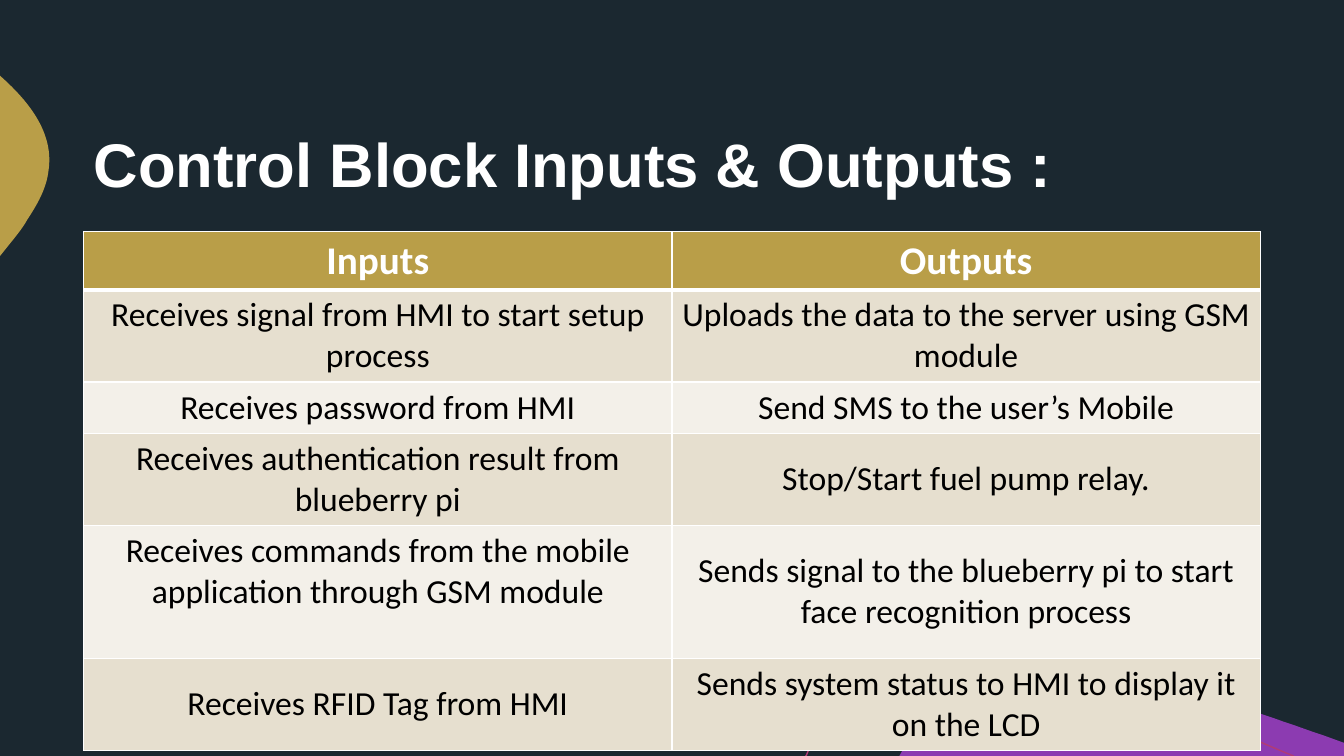
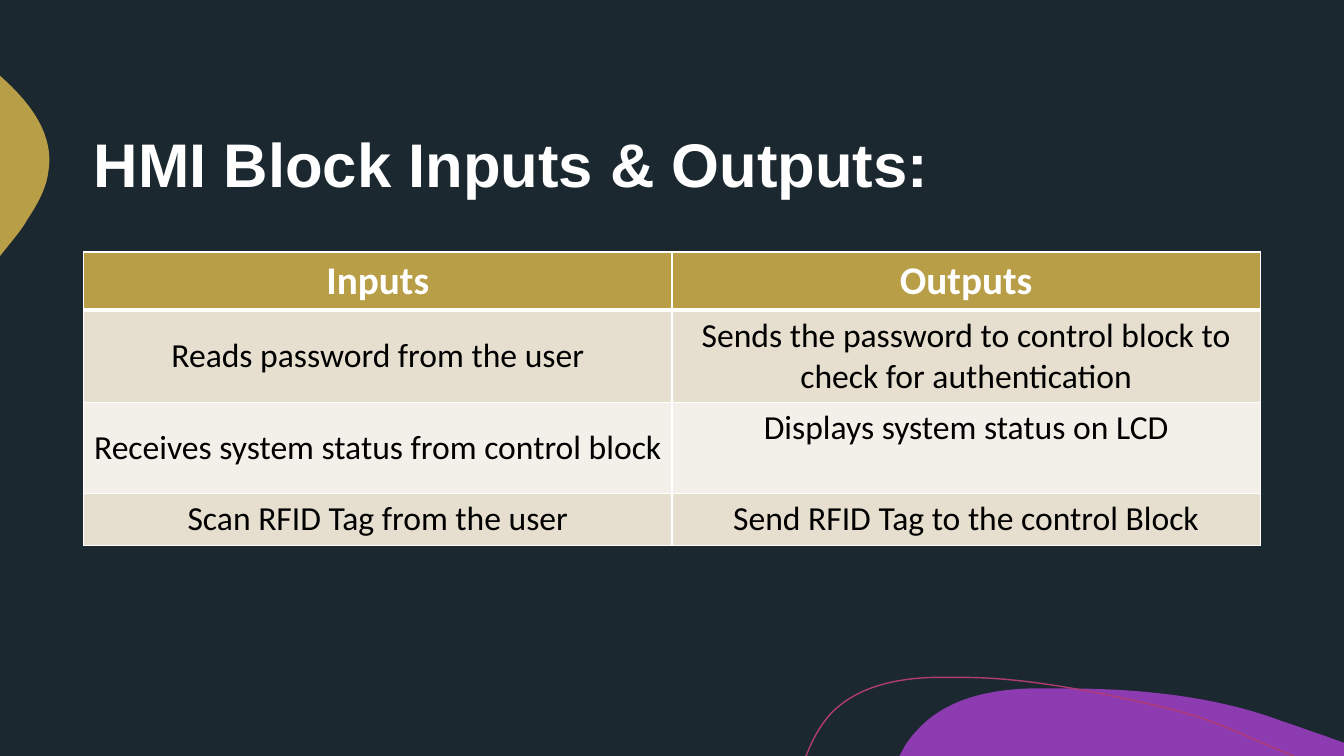
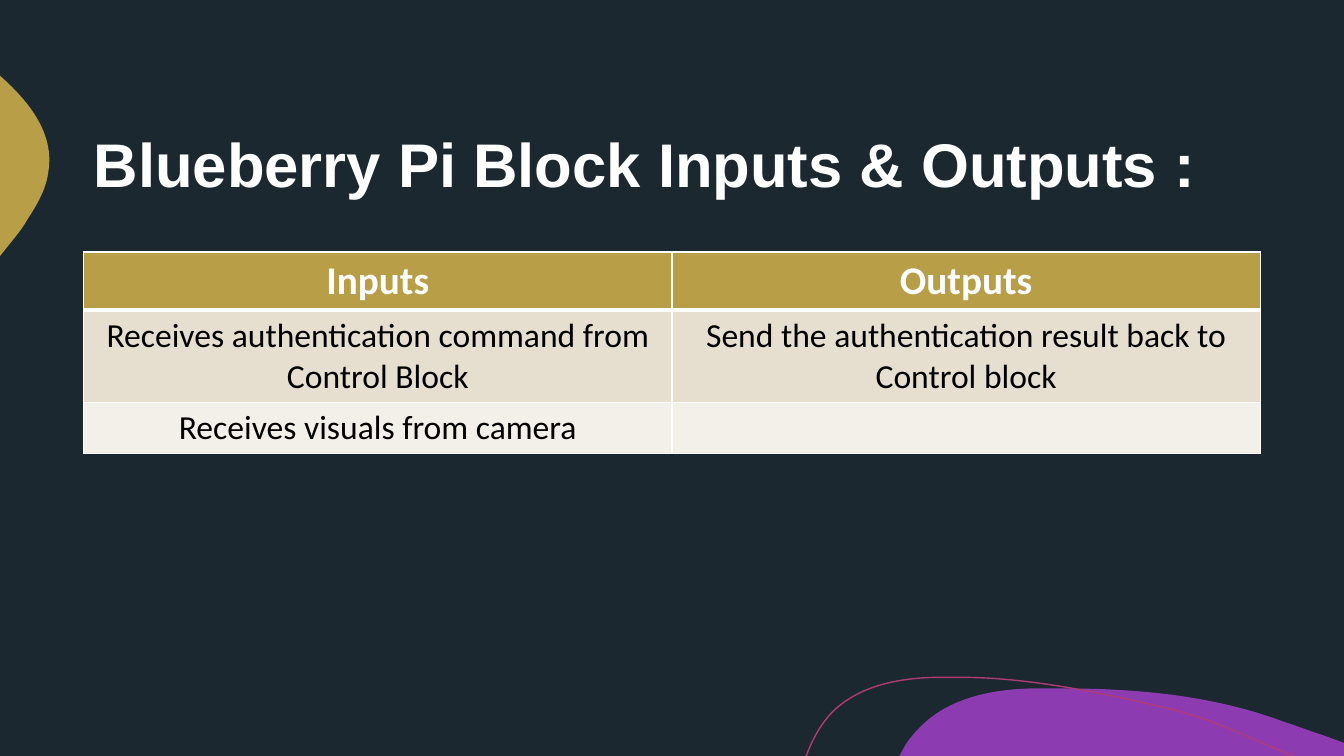
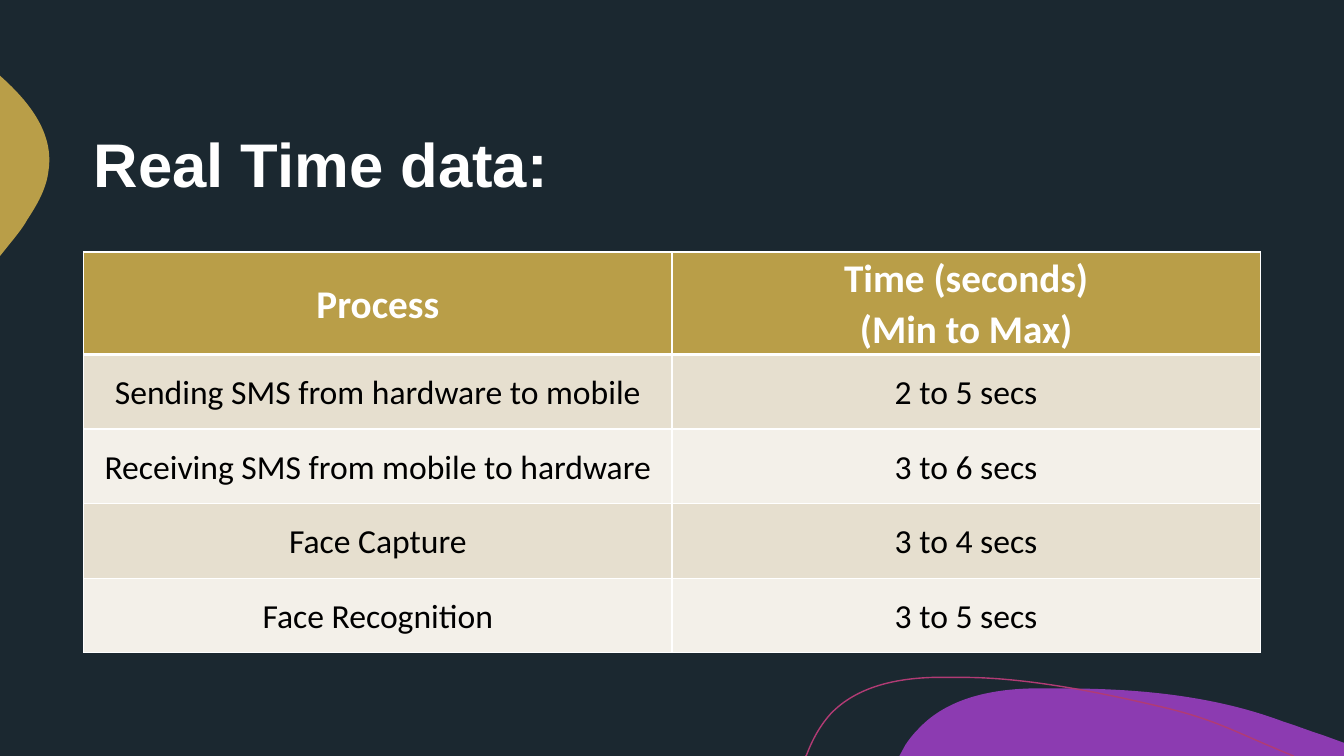
from pptx import Presentation
from pptx.dml.color import RGBColor
from pptx.enum.text import MSO_ANCHOR, PP_ALIGN
from pptx.oxml import parse_xml
from pptx.oxml.ns import nsdecls, qn
from pptx.util import Inches, Pt

MIDDLE, TOP = MSO_ANCHOR.MIDDLE, MSO_ANCHOR.TOP
LEFT, CENTER = PP_ALIGN.LEFT, PP_ALIGN.CENTER

NAVY = RGBColor(0x1B, 0x28, 0x30)
GOLD = RGBColor(0xB9, 0x9E, 0x48)
PURPLE = RGBColor(0x8C, 0x3B, 0xB1)
PINK = RGBColor(0xB1, 0x3B, 0x74)
SAND = RGBColor(0xE6, 0xDF, 0xCF)
CREAM = RGBColor(0xF3, 0xF0, 0xE9)
WHITE = RGBColor(0xFF, 0xFF, 0xFF)
BLACK = RGBColor(0x00, 0x00, 0x00)

TITLE_FONT, TABLE_FONT = "Arial", "Calibri"
TITLE_ONLY = 5
MARGIN, CONTENT_WIDTH = 0.83, 11.67
HEADER, ONE_LINE, TWO_LINES, THREE_LINES = 0.57, 0.51, 0.91, 1.32
FIRST_DECORATION_ID = 101

PURPLE_WAVE = [
    (10.54, 6.83),
    (11.28, 6.83, 12.04, 6.9, 12.73, 7.16),
    (12.86, 7.2, 12.98, 7.25, 13.11, 7.29),
    (13.33, 7.37), (13.33, 7.5), (8.92, 7.5), (8.98, 7.39),
    (9.02, 7.33, 9.06, 7.28, 9.11, 7.23),
    (9.39, 6.93, 9.82, 6.84, 10.23, 6.83),
    (10.33, 6.83, 10.43, 6.83, 10.54, 6.83),
]
GOLD_BULGE = [
    (0, 0.75), (0.01, 0.76),
    (0.3, 1.02, 0.54, 1.33, 0.48, 1.7),
    (0.46, 1.87, 0.37, 2.03, 0.27, 2.18),
    (0.24, 2.24, 0.17, 2.33, 0.08, 2.44),
    (0, 2.54),
]
PINK_LINE = [
    (7.99, 7.5), (8, 7.49),
    (8.06, 7.33, 8.14, 7.19, 8.24, 7.08),
    (8.5, 6.81, 8.89, 6.73, 9.26, 6.72),
    (9.55, 6.72),
    (10.22, 6.72, 11, 6.89, 11.55, 7.02),
    (12.09, 7.15, 12.26, 7.27, 12.83, 7.5),
]


def bend_segments(shape, segments):
    straight = list(shape.element.iter(qn("a:lnTo")))
    for line, segment in zip(straight, segments[1:]):
        if len(segment) == 2:
            continue
        points = "".join(
            f'<a:pt x="{Inches(x) - shape.left}" y="{Inches(y) - shape.top}"/>'
            for x, y in zip(segment[::2], segment[1::2])
        )
        curve = parse_xml(f'<a:cubicBezTo {nsdecls("a")}>{points}</a:cubicBezTo>')
        line.getparent().replace(line, curve)


def add_outline(page, segments, fill=None, line=None):
    points = [(Inches(segment[-2]), Inches(segment[-1])) for segment in segments]
    builder = page.shapes.build_freeform(*points[0], scale=1.0)
    builder.add_line_segments(points[1:], close=fill is not None)
    shape = builder.convert_to_shape()
    bend_segments(shape, segments)
    shape.shadow.inherit = False
    if fill is None:
        shape.fill.background()
    else:
        shape.fill.solid()
        shape.fill.fore_color.rgb = fill
    if line is None:
        shape.line.fill.background()
    else:
        shape.line.color.rgb = line
        shape.line.width = Pt(1)
    return shape


def decorate_layout(page):
    outlines = [
        add_outline(page, PURPLE_WAVE, fill=PURPLE),
        add_outline(page, GOLD_BULGE, fill=GOLD),
        add_outline(page, PINK_LINE, line=PINK),
    ]
    tree = page.slide_layout.shapes.element
    for number, outline in enumerate(outlines, FIRST_DECORATION_ID):
        outline.element.nvSpPr.cNvPr.set("id", str(number))
        tree.insert_element_before(outline.element, "p:extLst")


def add_page(deck, title):
    page = deck.slides.add_slide(deck.slide_layouts[TITLE_ONLY])
    box = page.shapes.title
    box.left, box.top = Inches(MARGIN), Inches(0.83)
    box.width, box.height = Inches(CONTENT_WIDTH), Inches(1.67)
    box.text_frame.text = title
    box.text_frame.word_wrap = True
    box.text_frame.vertical_anchor = MIDDLE
    paragraph = box.text_frame.paragraphs[0]
    paragraph.line_spacing = 0.9
    style_paragraph(paragraph, LEFT, TITLE_FONT, 44, WHITE, True)
    return page


def style_paragraph(paragraph, alignment, name, size, color, bold):
    paragraph.alignment = alignment
    font = paragraph.font
    font.name, font.size, font.bold = name, Pt(size), bold
    font.color.rgb = color


def set_borders(cell, top, bottom):
    properties = cell._tc.get_or_add_tcPr()
    for side, width in (("L", 1), ("R", 1), ("T", top), ("B", bottom)):
        properties.append(parse_xml(
            f'<a:ln{side} {nsdecls("a")} w="{Pt(width)}"><a:solidFill>'
            f'<a:srgbClr val="{WHITE}"/></a:solidFill></a:ln{side}>'
        ))


def fill_cell(cell, text, row, anchor, spacing):
    is_header = row == 0
    set_borders(cell, 3 if row == 1 else 1, 3 if is_header else 1)
    cell.fill.solid()
    cell.fill.fore_color.rgb = GOLD if is_header else (CREAM, SAND)[row % 2]
    cell.vertical_anchor = anchor
    if spacing:
        cell.margin_left = cell.margin_right = Inches(0.07)
        cell.margin_top = cell.margin_bottom = 0
    if not text:
        return
    cell.text = text
    for paragraph in cell.text_frame.paragraphs:
        if spacing:
            paragraph.line_spacing = spacing
        style_paragraph(paragraph, CENTER, TABLE_FONT, 28 if is_header else 24,
                        WHITE if is_header else BLACK, is_header)


def add_grid(page, top, heights, rows, top_cell=None, spacing=None):
    columns = len(rows[0])
    frame = page.shapes.add_table(len(rows), columns, Inches(MARGIN), Inches(top),
                                  Inches(CONTENT_WIDTH), Inches(sum(heights)))
    table = frame.table
    for row, (height, texts) in enumerate(zip(heights, rows)):
        table.rows[row].height = Inches(height)
        for column, text in enumerate(texts):
            anchor = TOP if (row, column) == top_cell else MIDDLE
            fill_cell(table.cell(row, column), text, row, anchor, spacing)


def main():
    deck = Presentation()
    deck.slide_width, deck.slide_height = Inches(13.33), Inches(7.5)
    background = deck.slide_master.background.fill
    background.solid()
    background.fore_color.rgb = NAVY
    header = ("Inputs", "Outputs")

    page = add_page(deck, "Control Block Inputs & Outputs :")
    decorate_layout(page)
    add_grid(page, 2.3, [HEADER, TWO_LINES, ONE_LINE, TWO_LINES, THREE_LINES, TWO_LINES], [
        header,
        ("Receives signal from HMI to start setup process",
         "Uploads the data to the server using GSM module"),
        ("Receives password from HMI", "Send SMS to the user’s Mobile"),
        ("Receives authentication result from blueberry pi", "Stop/Start fuel pump relay."),
        ("Receives commands from the mobile application through GSM module",
         "Sends signal to the blueberry pi to start face recognition process"),
        ("Receives RFID Tag from HMI", "Sends system status to HMI to display it on the LCD"),
    ], top_cell=(4, 0))

    page = add_page(deck, "HMI Block Inputs & Outputs:")
    add_grid(page, 2.5, [HEADER, TWO_LINES, TWO_LINES, ONE_LINE], [
        header,
        ("Reads password from the user",
         "Sends the password to control block to check for authentication"),
        ("Receives system status from control block", "Displays system status on LCD"),
        ("Scan RFID Tag from the user", "Send RFID Tag to the control Block"),
    ], top_cell=(2, 1))

    page = add_page(deck, "Blueberry Pi Block Inputs & Outputs :")
    add_grid(page, 2.5, [HEADER, TWO_LINES, ONE_LINE], [
        header,
        ("Receives authentication command from Control Block",
         "Send the authentication result back to Control block"),
        ("Receives visuals from camera", ""),
    ])

    page = add_page(deck, "Real Time data:")
    add_grid(page, 2.5, [1.01] + [0.74] * 4, [
        ("Process", "Time (seconds)\n(Min to Max)"),
        ("Sending SMS from hardware to mobile", "2 to 5 secs"),
        ("Receiving SMS from mobile to hardware", "3 to 6 secs"),
        ("Face Capture", "3 to 4 secs"),
        ("Face Recognition", "3 to 5 secs"),
    ], spacing=1.07)

    deck.save("out.pptx")


if __name__ == "__main__":
    main()
